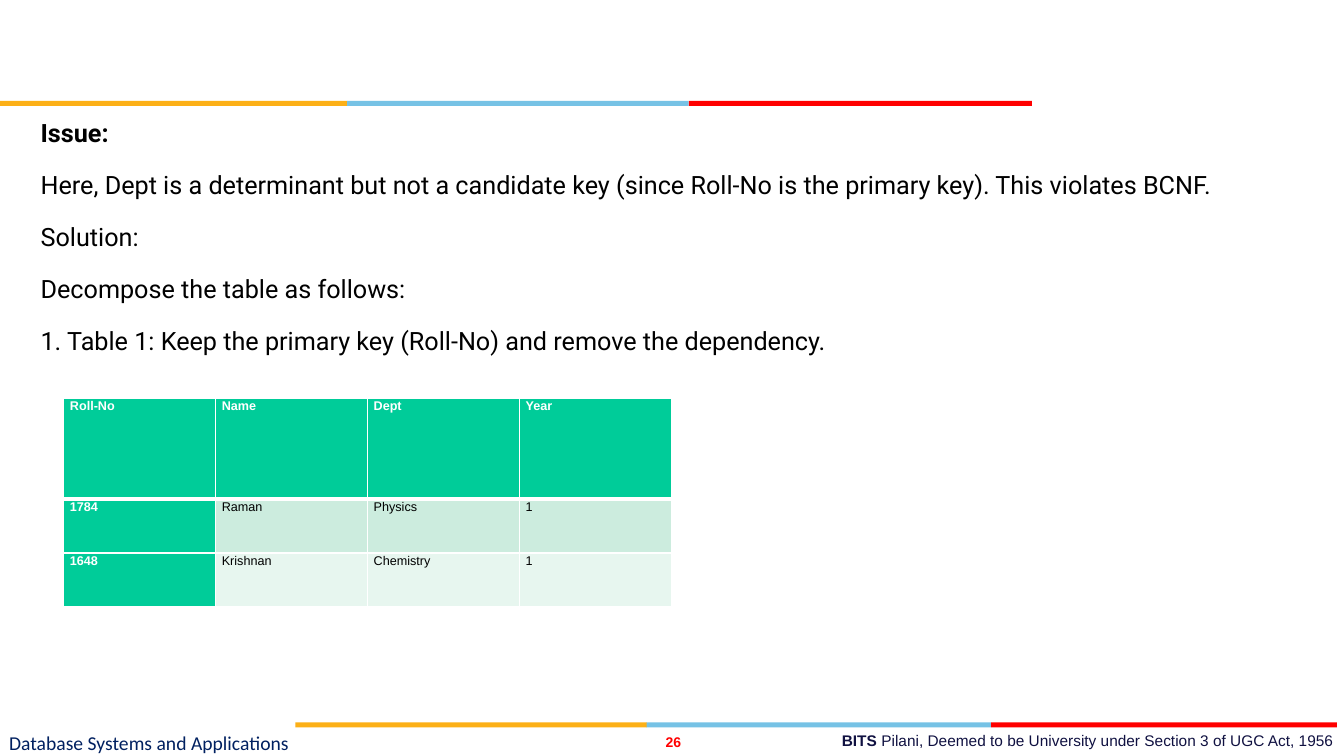
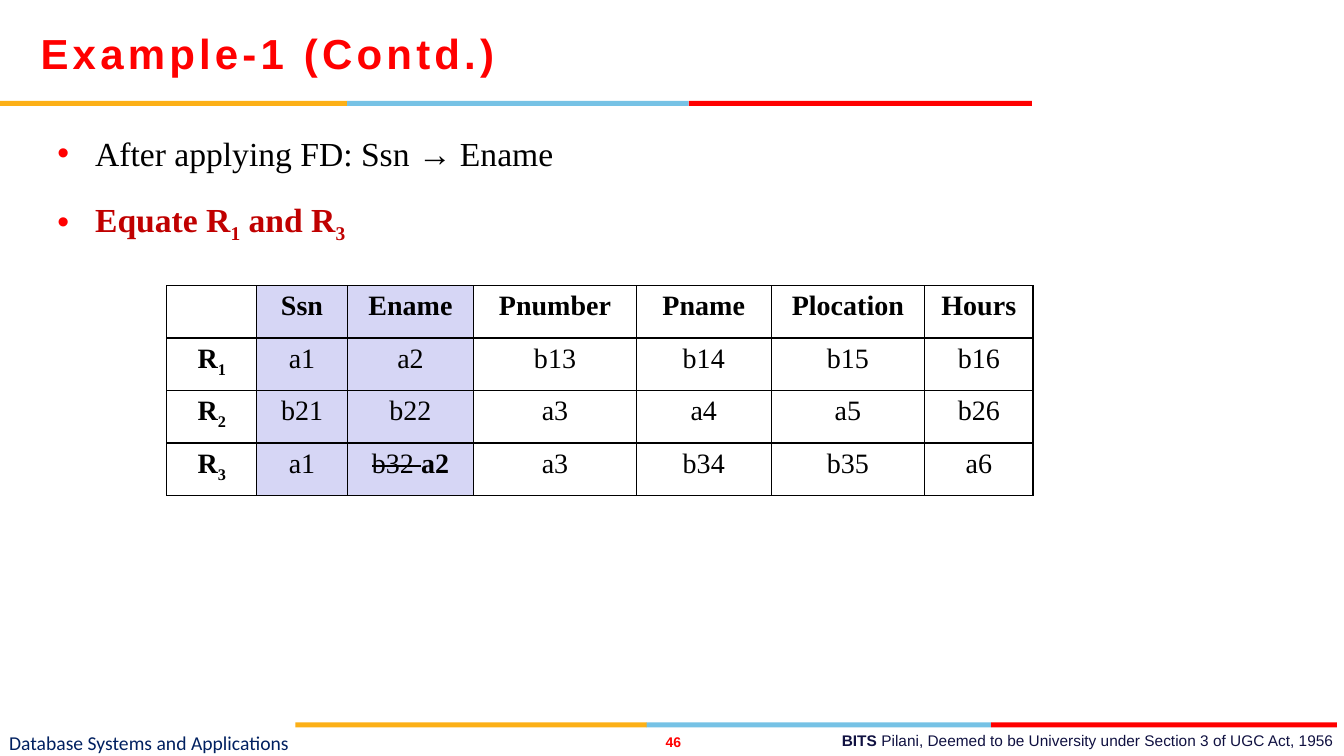
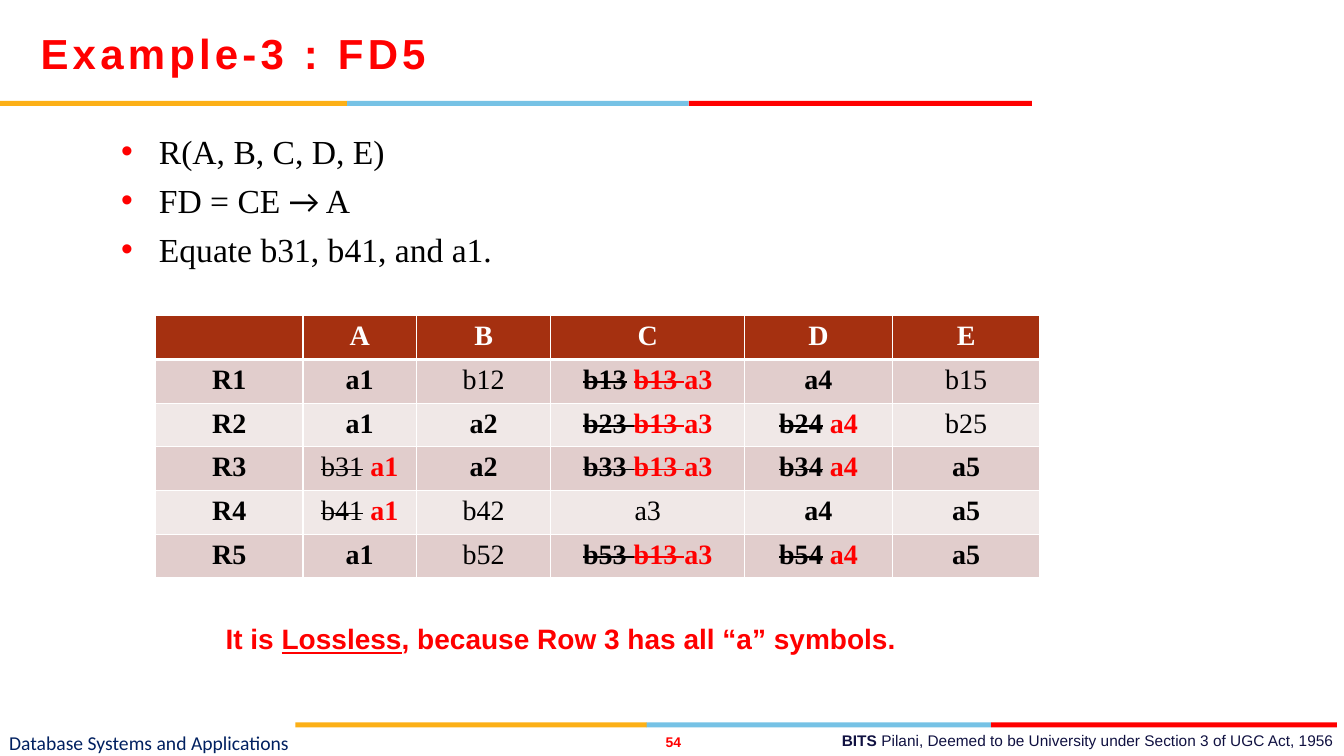
import pptx
import pptx.util
import pptx.dml.color
import pptx.enum.shapes
import pptx.enum.text
import pptx.oxml.ns
import lxml.etree

Pt = pptx.util.Pt
RGB = pptx.dml.color.RGBColor
ALIGN = pptx.enum.text.PP_ALIGN
ANCHOR = pptx.enum.text.MSO_ANCHOR

# Colours
BLACK = RGB(0x00, 0x00, 0x00)
WHITE = RGB(0xFF, 0xFF, 0xFF)
RED = RGB(0xFF, 0x00, 0x00)
CRIMSON = RGB(0xC0, 0x00, 0x00)
GOLD = RGB(0xFC, 0xB0, 0x17)
SKY = RGB(0x76, 0xC2, 0xE5)
NAVY = RGB(0x00, 0x20, 0x60)
INK = RGB(0x10, 0x11, 0x41)
GREEN = RGB(0x00, 0xCC, 0x99)
MINT = RGB(0xCC, 0xEC, 0xDE)
PALE = RGB(0xE7, 0xF6, 0xEF)
LILAC = RGB(0xD6, 0xD6, 0xF5)
RUST = RGB(0xA5, 0x30, 0x10)
ROSE = RGB(0xE1, 0xCD, 0xCC)
BLUSH = RGB(0xF0, 0xE8, 0xE7)

# Run formats
SERIF = "Times New Roman"
BOLD = dict(bold=True)
PLAIN = dict(bold=False)
SUB = dict(base=-25000)
GONE = dict(strike=True)
NEW = dict(ink=RED, bold=True)


def node(home, tag, **attrs):
    """Add a drawing element with its attributes."""
    child = lxml.etree.SubElement(home, pptx.oxml.ns.qn("a:" + tag))
    for key, value in attrs.items():
        child.set(key, str(value))
    return child


def write(para, words, size=18, face="Arial", ink=BLACK, bold=False,
          under=False, strike=False, base=0, space=0):
    """Add one run of text to a paragraph."""
    run = para.add_run()
    run.text = words
    font = run.font
    font.size, font.name, font.bold = Pt(size), face, bold
    font.color.rgb = ink
    if under:
        font.underline = True
    props = run._r.get_or_add_rPr()
    if strike:
        props.set("strike", "sngStrike")
    if base:
        props.set("baseline", str(base))
    if space:
        props.set("spc", str(space * 100))


def fill_para(para, runs, **form):
    """Write a string, or a list of strings and (text, format) pairs."""
    for item in [runs] if isinstance(runs, str) else runs:
        words, extra = (item, {}) if isinstance(item, str) else item
        write(para, words, **{**form, **extra})


class Deck:
    def __init__(self):
        self.file = pptx.Presentation()
        self.file.slide_width, self.file.slide_height = Pt(960), Pt(540)
        self.slide = None

    def page(self, number, title=None):
        self.slide = self.file.slides.add_slide(self.file.slide_layouts[6])
        self.bands(72, (0, 248, 492, 737))
        self.bands(516, (211, 462, 708, 955))
        # Footer
        self.box((6.5, 520.5, 357, 19.5), ["Database Systems and Applications"],
                 anchor=ANCHOR.MIDDLE, size=14, face="Calibri", ink=NAVY)
        self.box((469, 524, 24, 12.5), [str(number)], anchor=ANCHOR.MIDDLE,
                 align=ALIGN.CENTER, size=10, ink=RED, bold=True)
        self.box((578, 519, 382, 21),
                 [[("BITS ", BOLD), "Pilani, Deemed to be University under "
                   "Section 3 of UGC Act, 1956"]],
                 pad=(7.2, 3.6), align=ALIGN.RIGHT, size=11, ink=INK)
        if title:
            self.box((29, 7, 719, 61), [title], anchor=ANCHOR.MIDDLE,
                     size=30, ink=RED, bold=True, space=3)

    def bands(self, top, edges):
        for left, right, color in zip(edges, edges[1:], (GOLD, SKY, RED)):
            band = self.slide.shapes.add_shape(
                pptx.enum.shapes.MSO_SHAPE.RECTANGLE,
                Pt(left), Pt(top), Pt(right - left), Pt(3.6))
            band.shadow.inherit = False
            band.fill.solid()
            band.fill.fore_color.rgb = color
            band.line.fill.background()

    def box(self, at, paras, pad=(0, 0), anchor=ANCHOR.TOP, align=ALIGN.LEFT,
            before=0, after=0, lines=None, bullet=False, **form):
        frame = self.slide.shapes.add_textbox(*map(Pt, at)).text_frame
        frame.word_wrap = True
        frame.vertical_anchor = anchor
        frame.margin_left = frame.margin_right = Pt(pad[0])
        frame.margin_top = frame.margin_bottom = Pt(pad[1])
        for i, runs in enumerate(paras):
            para = frame.add_paragraph() if i else frame.paragraphs[0]
            if bullet:
                self.bullet(para)
            para.alignment = align
            para.space_before = Pt(before if i else 0)
            para.space_after = Pt(after)
            if lines:
                para.line_spacing = lines
            fill_para(para, runs, **form)

    def bullet(self, para):
        props = para._p.get_or_add_pPr()
        props.set("marL", str(Pt(27)))
        props.set("indent", str(-Pt(27)))
        node(node(props, "buClr"), "srgbClr", val=RED)
        node(props, "buFont", typeface="Arial")
        node(props, "buChar", char="•")

    def table(self, at, cols, rows, data, look, edge, head=1,
              pad=(7.2, 3.6), align=ALIGN.CENTER, lines=None, **form):
        """look(row, col) gives a cell's fill and its run format."""
        grid = self.slide.shapes.add_table(
            len(rows), len(cols), *map(Pt, at),
            Pt(sum(cols)), Pt(sum(rows))).table
        grid.first_row = grid.horz_banding = False
        for col, width in zip(grid.columns, cols):
            col.width = Pt(width)
        for row, height in zip(grid.rows, rows):
            row.height = Pt(height)
        for r, line in enumerate(data):
            for c, runs in enumerate(line):
                cell = grid.cell(r, c)
                fill, extra = look(r, c)
                cell.margin_left = cell.margin_right = Pt(pad[0])
                cell.margin_top = cell.margin_bottom = Pt(pad[1])
                self.border(cell, edge, top=head if r == 1 else 1,
                            foot=head if r == 0 else 1)
                if fill is None:
                    cell.fill.background()
                else:
                    cell.fill.solid()
                    cell.fill.fore_color.rgb = fill
                para = cell.text_frame.paragraphs[0]
                para.alignment = align
                if lines:
                    para.line_spacing = lines
                if runs:
                    fill_para(para, runs, **{**form, **extra})

    def border(self, cell, color, top, foot):
        props = cell._tc.get_or_add_tcPr()
        for side, width in zip("LRTB", (1, 1, top, foot)):
            line = node(props, "ln" + side, w=Pt(width))
            node(node(line, "solidFill"), "srgbClr", val=color)


def issue(deck):
    deck.page(26)
    deck.box((29, 79, 893, 200), [
        [("Issue:", BOLD)],
        "Here, Dept is a determinant but not a candidate key "
        "(since Roll-No is the primary key). This violates BCNF.",
        "Solution:",
        "Decompose the table as follows:",
        "1. Table 1: Keep the primary key (Roll-No) and remove the dependency.",
    ], pad=(0, 3.6), before=6, after=8, lines=1.07, face="Roboto")

    def look(r, c):
        if r == 0 or c == 0:
            return GREEN, dict(ink=WHITE, bold=True)
        return (MINT if r % 2 else PALE), {}

    deck.table((45.5, 284.5), [108.5] * 4, [72, 38.5, 38.5], [
        ["Roll-No", "Name", "Dept", "Year"],
        ["1784", "Raman", "Physics", "1"],
        ["1648", "Krishnan", "Chemistry", "1"],
    ], look, WHITE, head=3, pad=(4.5, 0), align=ALIGN.LEFT, lines=1.07, size=9)


def first(deck):
    deck.page(46, "Example-1 (Contd.)")
    deck.box((41, 91.5, 834, 100), [
        "After applying FD: Ssn → Ename",
        [(words, dict(ink=CRIMSON, bold=True, base=base)) for words, base in
         (("Equate R", 0), ("1", -25000), (" and R", 0), ("3", -25000))],
    ], pad=(0, 3.6), before=6, after=12, bullet=True, size=24, face=SERIF)

    def look(r, c):
        return (LILAC if c in (1, 2) else None), dict(bold=r == 0 or c == 0)

    rows = [
        ["a1", "a2", "b13", "b14", "b15", "b16"],
        ["b21", "b22", "a3", "a4", "a5", "b26"],
        ["a1", [("b32 ", GONE), ("a2", BOLD)], "a3", "b34", "b35", "a6"],
    ]
    data = [["", "Ssn", "Ename", "Pnumber", "Pname", "Plocation", "Hours"]]
    data += [[["R", (str(i), SUB)], *row] for i, row in enumerate(rows, 1)]
    deck.table((119, 204), [64.5, 64.5, 90.5, 116, 96.5, 109.5, 77.5],
               [37.5] * 4, data, look, BLACK, size=20, face=SERIF)


def third(deck):
    deck.page(54, "Example-3 : FD5")
    deck.box((86.5, 90, 662, 115), [
        "R(A, B, C, D, E)",
        ["FD = CE ", ("→", dict(face="Calibri")), " A"],
        "Equate b31, b41, and a1.",
    ], pad=(0, 3.6), before=6, bullet=True, size=24, face=SERIF)

    def look(r, c):
        if r == 0:
            return RUST, dict(ink=WHITE)
        return (ROSE if r % 2 else BLUSH), {}

    def plain(words):
        return [(words, PLAIN)]

    def swap(old, new, bold=True):
        return [(old, dict(strike=True, bold=bold)), " ", (new, NEW)]

    # Column C was first set to b13, then to a3
    tail = [("b13 ", {**GONE, **NEW}), ("a3", NEW)]

    def twice(old):
        return [(old + " ", GONE), *tail]

    deck.table((111, 225.5), [105.5, 81, 96, 138.5, 105.5, 105.5],
               [29.3] * 6, [
        ["", "A", "B", "C", "D", "E"],
        ["R1", "a1", plain("b12"), [("b13", GONE), " ", *tail],
         "a4", plain("b15")],
        ["R2", "a1", "a2", twice("b23"), swap("b24", "a4"), plain("b25")],
        ["R3", swap("b31", "a1", False), "a2", twice("b33"),
         swap("b34", "a4"), "a5"],
        ["R4", swap("b41", "a1", False), plain("b42"), plain("a3"),
         "a4", "a5"],
        ["R5", "a1", plain("b52"), twice("b53"), swap("b54", "a4"), "a5"],
    ], look, WHITE, head=3, size=20, face=SERIF, bold=True)

    deck.box((154, 440.5, 522, 31.5), [
        ["It is ", ("Lossless", dict(under=True)),
         ", because Row 3 has all “a” symbols."],
    ], pad=(7.2, 3.6), size=20, ink=RED, bold=True)


def main():
    deck = Deck()
    for build in (issue, first, third):
        build(deck)
    deck.file.save("out.pptx")


if __name__ == "__main__":
    main()
